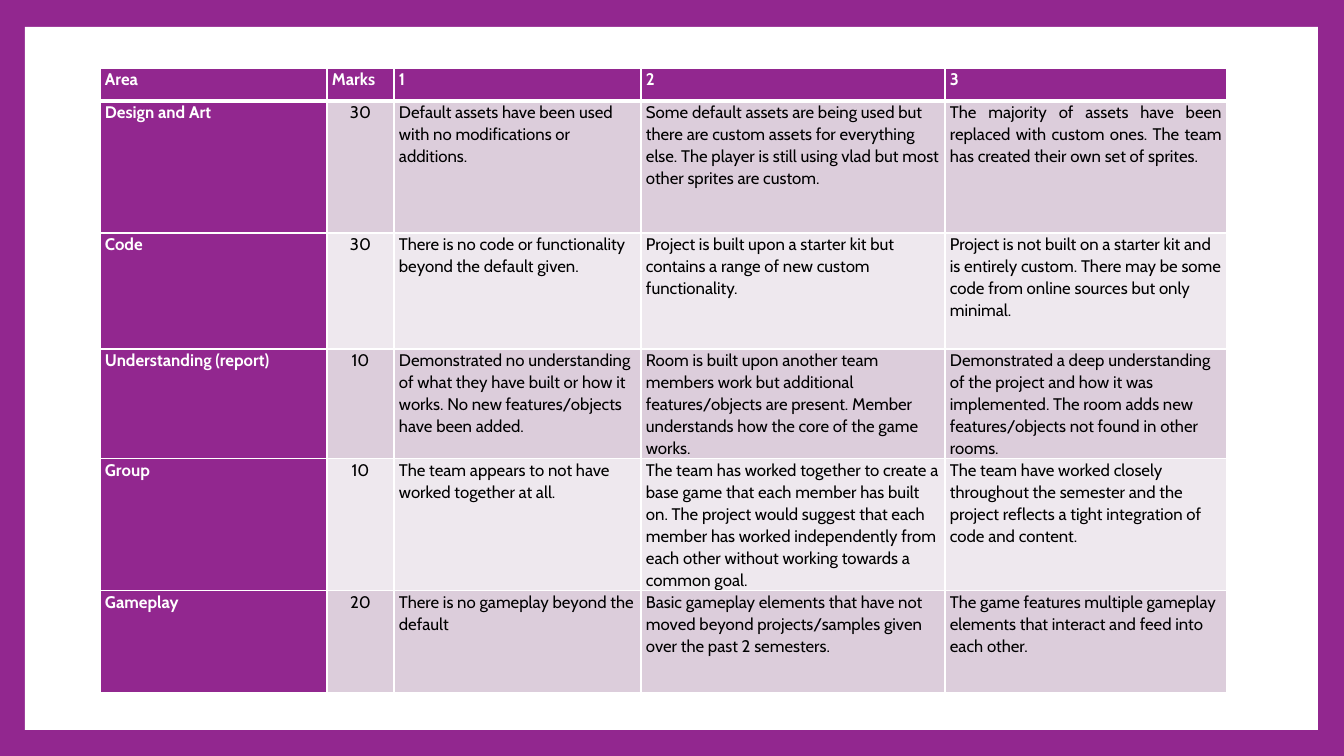
import pptx
import pptx.dml.color
import pptx.enum.shapes
import pptx.enum.text
import pptx.oxml
import pptx.oxml.ns
import pptx.util

PURPLE, WHITE, BLACK = "92278F", "FFFFFF", "000000"
BANDS = ["DCCDDB", "EEE8EE"]
EMU_PER_PX = 914400 / 100.8

SLIDE_SIZE = (1344, 756)
PANEL = (25, 27, 1293, 703)
RUBRIC_ORIGIN = (100, 68)
COLUMN_WIDTHS = [227, 67, 247, 304, 282]
ROW_HEIGHTS = [33, 132, 116, 104, 117, 102]
JUSTIFIED_CELL = (1, 4)

RUBRIC = [
    ("Area", "Marks", "1", "2", "3"),
    ("Design and Art", "30",
     "Default assets have been used with no modifications or additions.",
     "Some default assets are being used but there are custom assets for everything else. "
     "The player is still using vlad but most other sprites are custom.",
     "The majority of assets have been replaced with custom ones. "
     "The team has created their own set of sprites."),
    ("Code", "30",
     "There is no code or functionality beyond the default given.",
     "Project is built upon a starter kit but contains a range of new custom functionality.",
     "Project is not built on a starter kit and is entirely custom. "
     "There may be some code from online sources but only minimal."),
    ("Understanding (report)", "10",
     "Demonstrated no understanding of what they have built or how it works. "
     "No new features/objects have been added.",
     "Room is built upon another team members work but additional features/objects are present. "
     "Member understands how the core of the game works.",
     "Demonstrated a deep understanding of the project and how it was implemented. "
     "The room adds new features/objects not found in other rooms."),
    ("Group", "10",
     "The team appears to not have worked together at all.",
     "The team has worked together to create a base game that each member has built on. "
     "The project would suggest that each member has worked independently from each other "
     "without working towards a common goal.",
     "The team have worked closely throughout the semester and the project reflects "
     "a tight integration of code and content."),
    ("Gameplay", "20",
     "There is no gameplay beyond the default",
     "Basic gameplay elements that have not moved beyond projects/samples given "
     "over the past 2 semesters.",
     "The game features multiple gameplay elements that interact and feed into each other."),
]


def px(length):
    return pptx.util.Emu(round(length * EMU_PER_PX))


def color(hex_value):
    return pptx.dml.color.RGBColor.from_string(hex_value)


def paint(fill, hex_value):
    fill.solid()
    fill.fore_color.rgb = color(hex_value)


def apply(target, values):
    for name, value in values.items():
        setattr(target, name, value)


def add_borders(cell, widths):
    properties = cell._tc.get_or_add_tcPr()
    for position, (side, points) in enumerate(widths.items()):
        border = pptx.oxml.parse_xml(
            f'<a:ln{side} {pptx.oxml.ns.nsdecls("a")} w="{pptx.util.Pt(points)}">'
            f'<a:solidFill><a:srgbClr val="{WHITE}"/></a:solidFill></a:ln{side}>')
        properties.insert(position, border)


def alignment(row, column):
    align = pptx.enum.text.PP_ALIGN
    if (row, column) == JUSTIFIED_CELL:
        return align.JUSTIFY
    return align.CENTER if row and column == 1 else align.LEFT


def write_cell(cell, row, column, text):
    heading = row == 0 or column == 0
    apply(cell, {"margin_left": px(5), "margin_right": px(5),
                 "margin_top": 0, "margin_bottom": 0, "text": text})
    paint(cell.fill, PURPLE if heading else BANDS[(row - 1) % 2])
    add_borders(cell, {"L": 1, "R": 1, "T": 3 if row == 1 else 1, "B": 3 if row == 0 else 1})
    paragraph = cell.text_frame.paragraphs[0]
    apply(paragraph, {"alignment": alignment(row, column), "line_spacing": 1.07})
    font = paragraph.runs[0].font
    apply(font, {"name": "Cabin", "size": pptx.util.Pt(12), "bold": heading})
    font.color.rgb = color(WHITE if heading else BLACK)


def main():
    deck = pptx.Presentation()
    deck.slide_width, deck.slide_height = map(px, SLIDE_SIZE)
    slide = deck.slides.add_slide(deck.slide_layouts[6])
    paint(slide.background.fill, PURPLE)

    panel = slide.shapes.add_shape(pptx.enum.shapes.MSO_SHAPE.RECTANGLE, *map(px, PANEL))
    panel.shadow.inherit = False
    paint(panel.fill, WHITE)
    panel.line.fill.background()

    rubric = slide.shapes.add_table(
        len(RUBRIC), len(COLUMN_WIDTHS), *map(px, RUBRIC_ORIGIN),
        px(sum(COLUMN_WIDTHS)), px(sum(ROW_HEIGHTS))).table
    for column, width in zip(rubric.columns, COLUMN_WIDTHS):
        column.width = px(width)
    for row, height in zip(rubric.rows, ROW_HEIGHTS):
        row.height = px(height)
    for row, criteria in enumerate(RUBRIC):
        for column, text in enumerate(criteria):
            write_cell(rubric.cell(row, column), row, column, text)

    deck.save("out.pptx")


if __name__ == "__main__":
    main()
